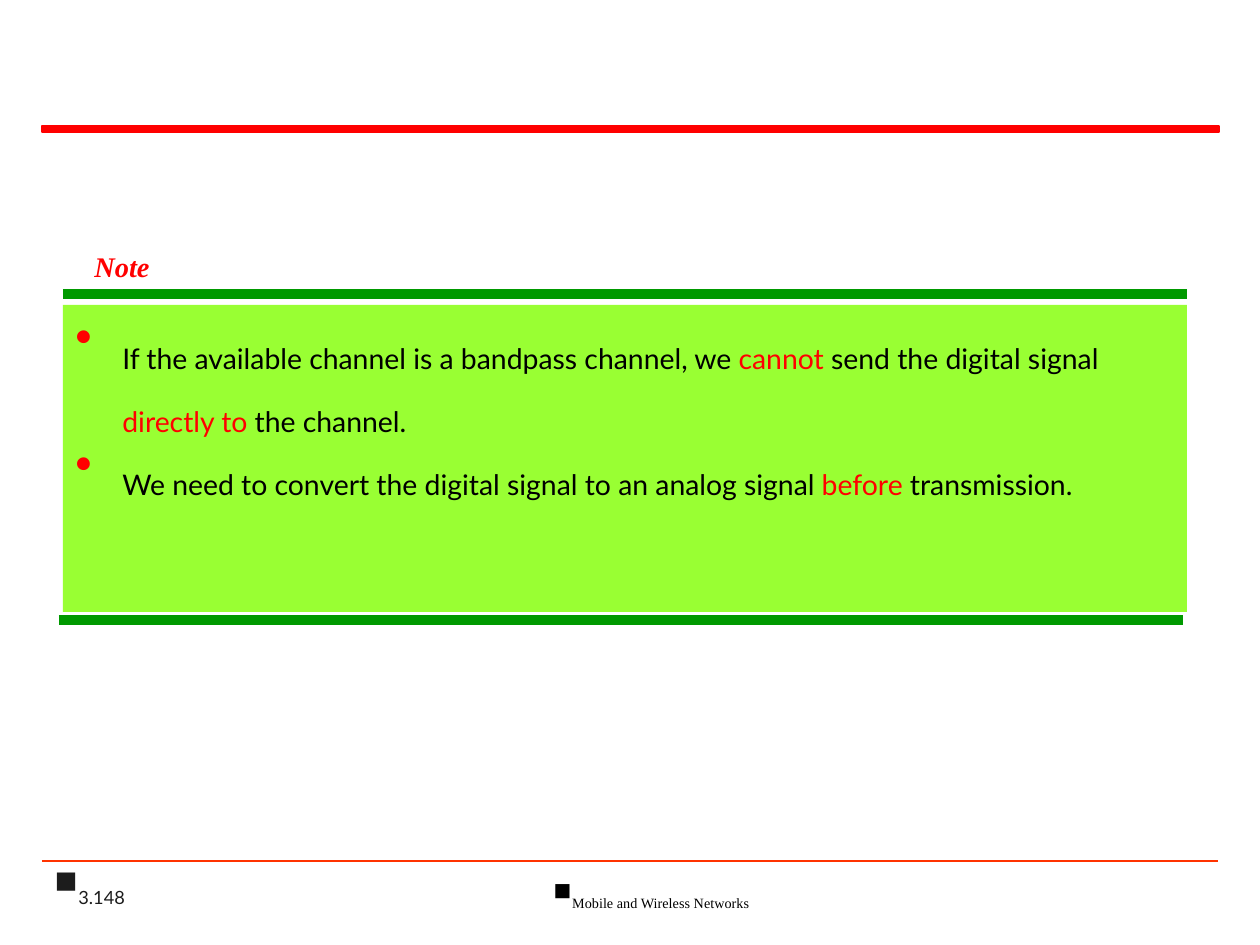
from lxml import etree
from pptx import Presentation
from pptx import util as u
from pptx.dml.color import RGBColor
from pptx.enum import shapes, text
from pptx.oxml.ns import qn

PX = 914400 // 126
RED, BLACK, GREEN = "FF0000", "000000", "009900"
SERIF, SANS = "Times New Roman", "Lato"


def px(*vals):
    return [u.Emu(v * PX) for v in vals]


def rgb(code):
    return RGBColor.from_string(code)


class Deck:
    def __init__(self):
        self.prs = Presentation()
        self.prs.slide_width, self.prs.slide_height = px(1260, 945)
        self.slide = self.prs.slides.add_slide(self.prs.slide_layouts[6])

    def rule(self, x1, x2, y, color, width):
        """Draw a horizontal line."""
        line = self.slide.shapes.add_connector(
            shapes.MSO_CONNECTOR.STRAIGHT, *px(x1, y, x2, y))
        line.line.color.rgb = rgb(color)
        line.line.width = u.Pt(width)
        etree.SubElement(line._element.spPr, qn("a:effectLst"))

    def rect(self, box, fill, edge=None):
        rect = self.slide.shapes.add_shape(
            shapes.MSO_SHAPE.RECTANGLE, *px(*box))
        rect.shadow.inherit = False
        rect.fill.solid()
        rect.fill.fore_color.rgb = rgb(fill)
        if edge:
            rect.line.color.rgb = rgb(fill)
            rect.line.width = u.Pt(edge)
        else:
            rect.line.fill.background()
        return rect

    def bullet(self, para, char, hang=0, color=None, font=None):
        props = para._p.get_or_add_pPr()
        props.set("marL", str(hang * PX))
        props.set("indent", str(-hang * PX))
        if color:
            tint = etree.SubElement(props, qn("a:buClr"))
            etree.SubElement(tint, qn("a:srgbClr"), val=color)
        if font:
            etree.SubElement(props, qn("a:buFont"), typeface=font)
        etree.SubElement(props, qn("a:buChar"), char=char)

    def run(self, para, words, size, font, color, drop=25, bold=False):
        """Add a subscript run, lowered by drop percent."""
        run = para.add_run()
        run.text = words
        run.font.size = u.Pt(size)
        run.font.name = font
        run.font.color.rgb = rgb(color)
        run.font.bold = run.font.italic = bold
        run._r.get_or_add_rPr().set("baseline", str(int(-drop * 1000)))

    def label(self, box, words, size, font, color, mark=None, bold=False,
              wrap=True, align=text.PP_ALIGN.LEFT,
              anchor=text.MSO_ANCHOR.TOP):
        frame = self.slide.shapes.add_textbox(*px(*box)).text_frame
        frame.word_wrap = wrap
        frame.vertical_anchor = anchor
        para = frame.paragraphs[0]
        para.alignment = align
        if mark:
            self.bullet(para, mark, font="Wingdings")
        self.run(para, words, size, font, color, bold=bold)

    def panel(self, box, fill, items):
        """Draw a filled box with a bulleted list."""
        frame = self.rect(box, fill).text_frame
        frame.word_wrap = True
        frame.vertical_anchor = text.MSO_ANCHOR.TOP
        for i, item in enumerate(items):
            para = frame.add_paragraph() if i else frame.paragraphs[0]
            para.alignment = text.PP_ALIGN.LEFT
            self.bullet(para, "•", 47, RED)
            for words, color in item:
                self.run(para, words, 28, SANS, color, drop=18.5)


def main():
    deck = Deck()
    deck.rect((42, 126, 1177, 6), RED, 1)
    deck.rule(42, 1218, 861, "FF3300", 1.5)
    deck.label((42, 872, 262, 42), "3.148", 18, SANS, "1C1C1C", mark="n",
               anchor=text.MSO_ANCHOR.BOTTOM)
    deck.label((431, 872, 441, 43), "Mobile and Wireless Networks", 14,
               SERIF, BLACK, mark="n", align=text.PP_ALIGN.CENTER)
    deck.rule(63, 1187, 294, GREEN, 6)
    deck.rule(59, 1183, 620, GREEN, 6)
    deck.panel((63, 305, 1124, 307), "99FF33", [
        [("If the available channel is a bandpass channel, we ", BLACK),
         ("cannot ", RED),
         ("send the digital signal ", BLACK),
         ("directly to", RED),
         (" the channel.", BLACK)],
        [("We need to convert the digital signal to an analog signal ", BLACK),
         ("before", RED),
         (" transmission.", BLACK)],
    ])
    deck.label((82, 210, 121, 72), "Note", 28, SERIF, RED, bold=True,
               wrap=False)
    deck.prs.save("out.pptx")


if __name__ == "__main__":
    main()
